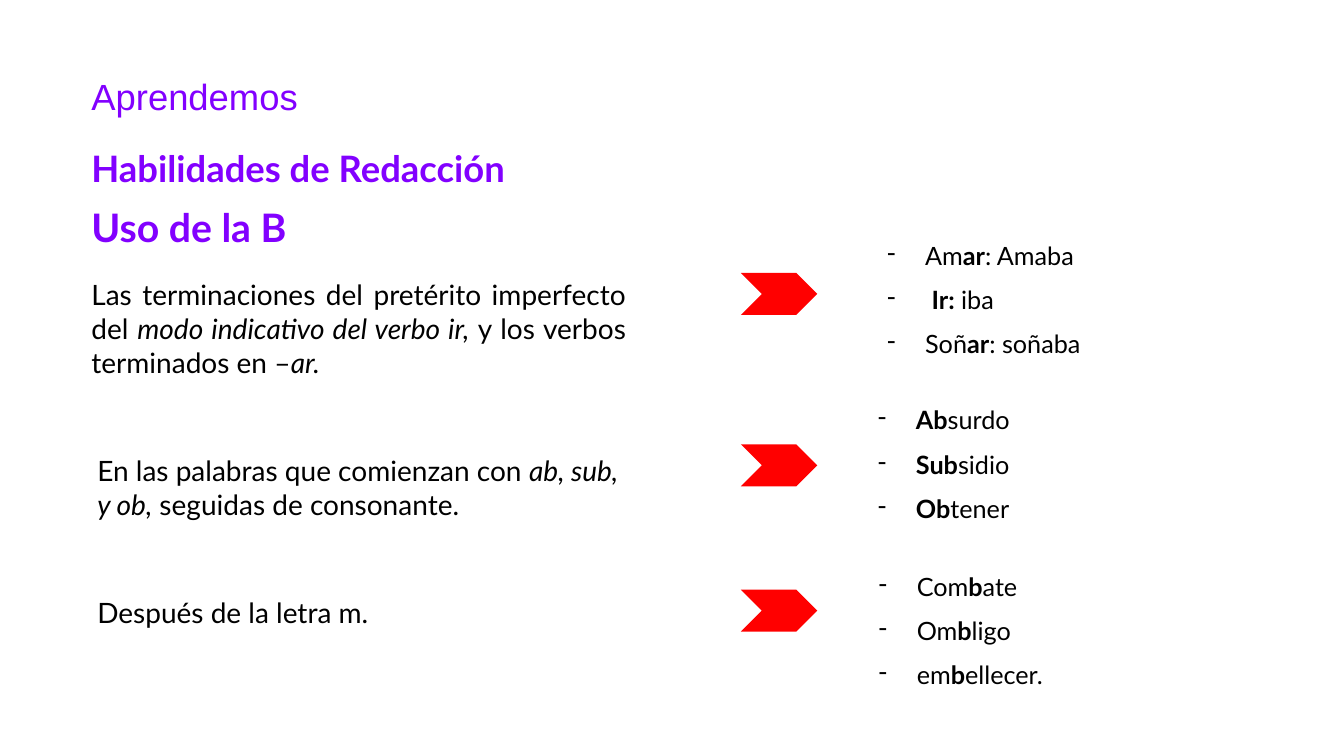
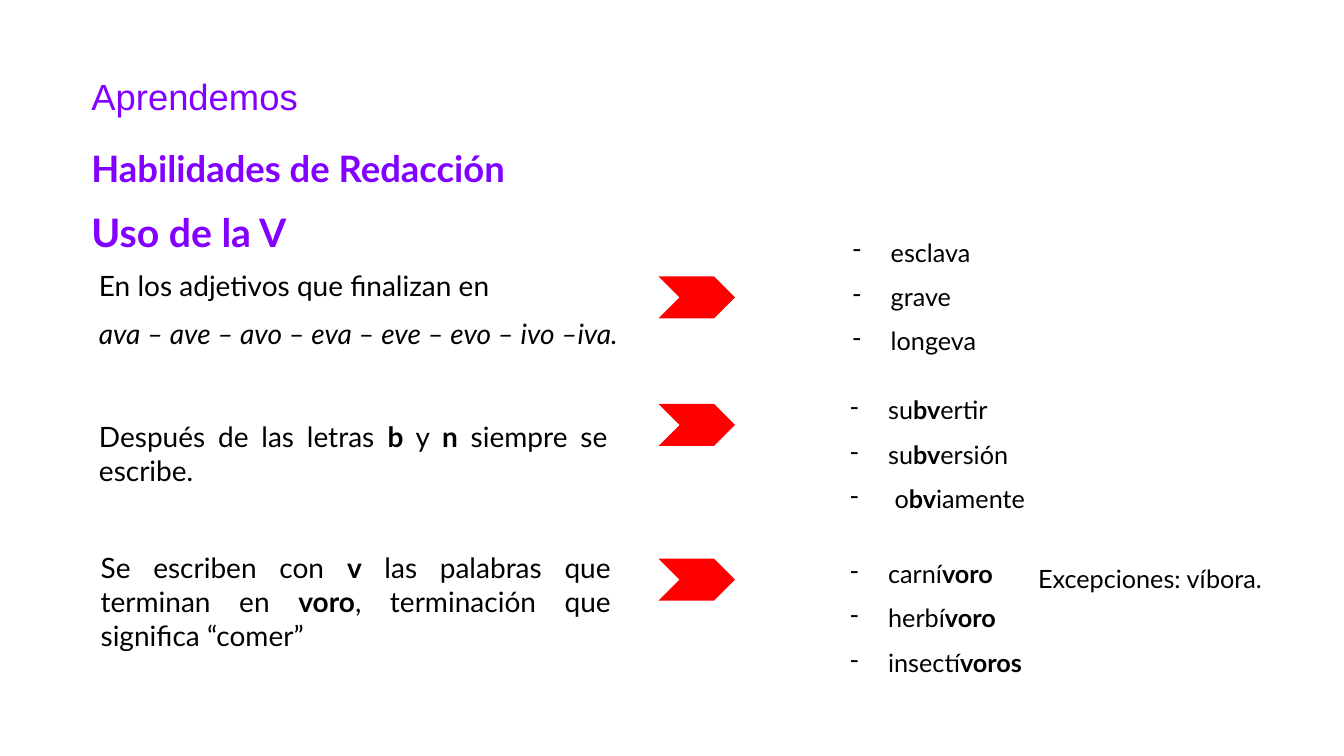
from lxml import etree
from pptx import Presentation
from pptx.dml.color import RGBColor
from pptx.enum.shapes import MSO_SHAPE
from pptx.enum.text import MSO_ANCHOR, PP_ALIGN
from pptx.oxml.ns import qn
from pptx.util import Inches, Pt

CHEVRON = MSO_SHAPE.CHEVRON
TOP, MIDDLE = MSO_ANCHOR.TOP, MSO_ANCHOR.MIDDLE
LEFT, JUSTIFY = PP_ALIGN.LEFT, PP_ALIGN.JUSTIFY
COLORS = {"heading": "8200FF", "text": "000000", "arrow": "FF0000"}
BODY_FONT, TITLE_FONT = "Lato", "Arial"
COLUMNS, ROWS = 16, 9
WIDTH, HEIGHT = Inches(13.33), Inches(7.5)
MARGIN = 0.97
LIST_SIZE = (2.6, 1.55)
ARROW_SIZE = (0.91, 0.5)
INDENT = Inches(0.38)

SLIDES = [
    {
        "topic": ("Uso de la B", 2.42),
        "arrow_column": 8.82,
        "rules": [
            {
                "area": (MARGIN, 3.25, 6.6, 1.33),
                "lines": ["Las terminaciones del pretérito imperfecto del "
                          "_modo indicativo del verbo ir, _y los verbos terminados en –_ar._"],
                "arrow_row": 3.25,
                "list_at": (10.44, 2.8),
                "examples": ["Am*ar*: Amaba", " *Ir:* iba", "Soñ*ar*: soñaba"],
            },
            {
                "area": (1.04, 5.34, 6.44, 1.02),
                "lines": ["En las palabras que comienzan con _ab, sub, y ob,_ seguidas de consonante."],
                "arrow_row": 5.29,
                "list_at": (10.33, 4.76),
                "examples": ["*Ab*surdo", "*Sub*sidio", "*Ob*tener"],
            },
            {
                "area": (1.04, 7.03, 6.3, 0.53),
                "lines": ["Después de la letra m."],
                "arrow_row": 7.02,
                "list_at": (10.34, 6.74),
                "examples": ["Com*b*ate", "Om*b*ligo", "em*b*ellecer."],
            },
        ],
    },
    {
        "topic": ("Uso de la V", 2.48),
        "arrow_column": 7.84,
        "note": ("Excepciones: víbora.", (12.24, 6.65, 3.2, 0.48)),
        "rules": [
            {
                "area": (1.06, 3.14, 6.61, 1.63),
                "lines": ["En los adjetivos que finalizan en",
                          "_ava – ave – avo – eva – eve – evo – ivo –iva._"],
                "arrow_row": 3.29,
                "list_at": (10.03, 2.76),
                "examples": ["esclava", "grave", "longeva"],
            },
            {
                "area": (1.06, 4.94, 6.29, 0.92),
                "lines": ["Después de las letras *b* y *n* siempre se escribe."],
                "arrow_row": 4.81,
                "list_at": (10, 4.64),
                "examples": ["su*bv*ertir", "su*bv*ersión", " o*bv*iamente"],
            },
            {
                "area": (1.08, 6.5, 6.31, 1.28),
                "lines": ["Se escriben con *v* las palabras que terminan en *voro*, "
                          "terminación que significa “comer”"],
                "arrow_row": 6.65,
                "list_at": (10, 6.59),
                "examples": ["carní*voro*", "herbí*voro*", "insectí*voros*"],
            },
        ],
    },
]


def grid(area):
    """Turn columns and rows into slide lengths."""
    column, row, columns, rows = area
    across, down = WIDTH / COLUMNS, HEIGHT / ROWS
    return [int(length) for length in (column * across, row * down, columns * across, rows * down)]


def fill_paragraph(para, line, size, color, font, bold):
    """Write a line whose *bold* and _italic_ parts are marked."""
    marker = "_" if "_" in line else "*"
    for index, part in enumerate(line.split(marker)):
        if not part:
            continue
        marked = index % 2 == 1
        span = para.add_run()
        span.text = part
        span.font.name = font
        span.font.size = Pt(size)
        span.font.color.rgb = RGBColor.from_string(COLORS[color])
        span.font.bold = bold or (marked and marker == "*")
        span.font.italic = marked and marker == "_"


def add_text(page, area, lines, size, color="text", font=BODY_FONT, bold=False,
             align=LEFT, spacing=1.0, anchor=TOP):
    """Add a text box with one paragraph per line and return its paragraphs."""
    frame = page.shapes.add_textbox(*grid(area)).text_frame
    frame.word_wrap = True
    frame.vertical_anchor = anchor
    for index, line in enumerate(lines):
        para = frame.add_paragraph() if index else frame.paragraphs[0]
        para.alignment = align
        para.line_spacing = spacing
        para.space_before = Pt(10 if index else 0)
        fill_paragraph(para, line, size, color, font, bold)
    return frame.paragraphs


def add_heading(page, area, text, size, font=BODY_FONT, bold=True, anchor=TOP):
    """Add one purple heading line."""
    add_text(page, area, [text], size, "heading", font, bold, spacing=0.9, anchor=anchor)


def add_examples(page, corner, examples):
    """Add a dashed list of example words."""
    for para in add_text(page, corner + LIST_SIZE, examples, 18):
        properties = para._p.get_or_add_pPr()
        properties.set("marL", str(INDENT))
        properties.set("indent", str(-INDENT))
        etree.SubElement(properties, qn("a:buChar")).set("char", "‐")


def add_arrow(page, column, row):
    """Add a red chevron pointing from a rule to its examples."""
    arrow = page.shapes.add_shape(CHEVRON, *grid((column, row) + ARROW_SIZE))
    arrow.shadow.inherit = False
    arrow.fill.solid()
    arrow.fill.fore_color.rgb = RGBColor.from_string(COLORS["arrow"])
    arrow.line.fill.background()


def add_spelling_page(deck, content):
    """Add a slide with headings and three spelling rules."""
    page = deck.slides.add_slide(deck.slide_layouts[6])
    topic, topic_row = content["topic"]
    add_heading(page, (MARGIN, 0.88, 14.08, 0.5), "Aprendemos", 26, TITLE_FONT, False)
    add_heading(page, (MARGIN, 1.68, 7.56, 0.71), "Habilidades de Redacción", 26, anchor=MIDDLE)
    add_heading(page, (MARGIN, topic_row, 3.6, 0.64), topic, 28)
    for rule in content["rules"]:
        add_text(page, rule["area"], rule["lines"], 20, align=JUSTIFY)
        add_arrow(page, content["arrow_column"], rule["arrow_row"])
        add_examples(page, rule["list_at"], rule["examples"])
    if "note" in content:
        note, area = content["note"]
        add_text(page, area, [note], 18)


def main():
    """Build and save the deck."""
    deck = Presentation()
    deck.slide_width, deck.slide_height = WIDTH, HEIGHT
    for content in SLIDES:
        add_spelling_page(deck, content)
    deck.save("out.pptx")


if __name__ == "__main__":
    main()
